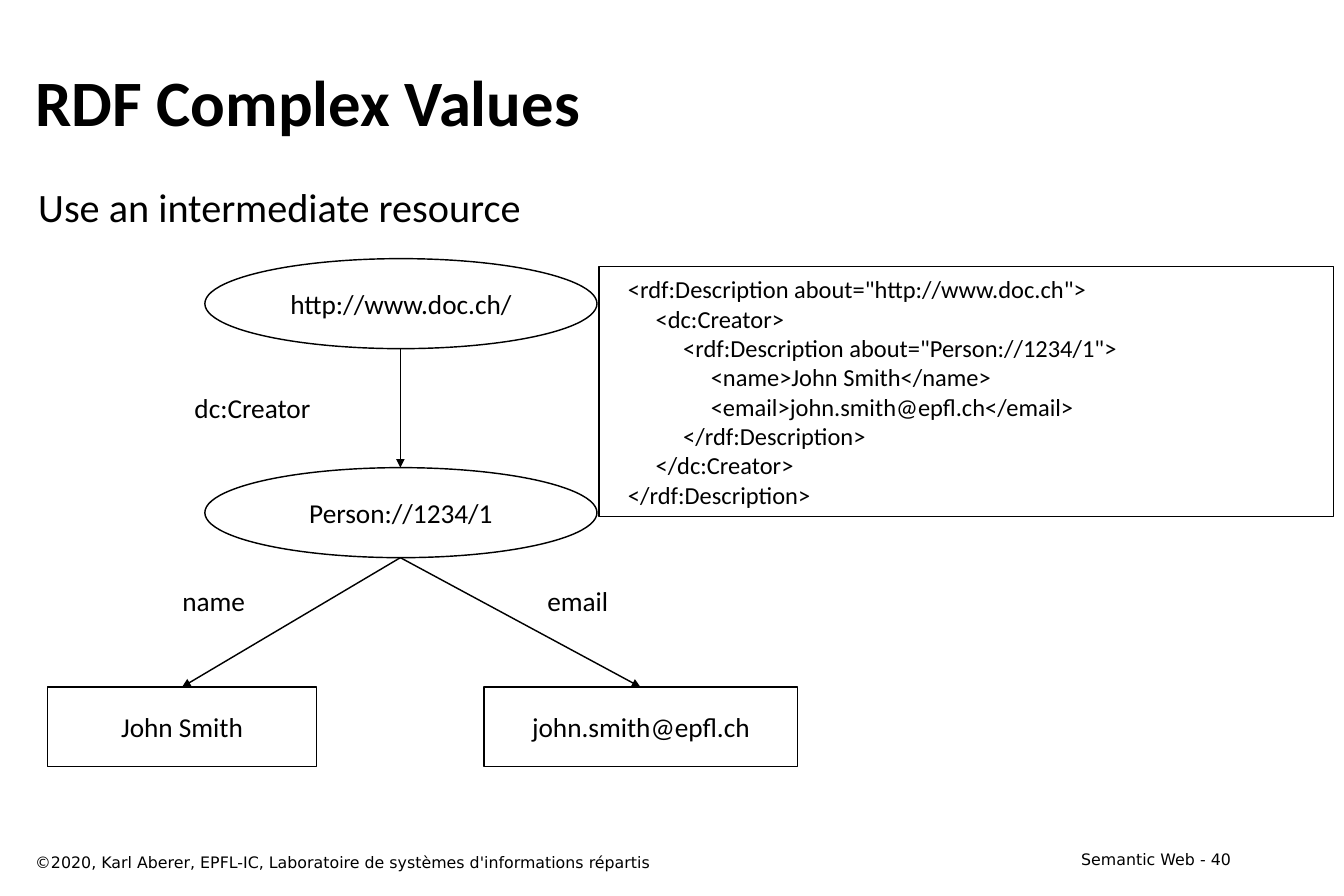
from dataclasses import dataclass

from lxml.etree import SubElement
from pptx import Presentation
from pptx.dml.color import RGBColor
from pptx.enum.shapes import MSO_CONNECTOR, MSO_SHAPE as Shape
from pptx.enum.text import MSO_ANCHOR as Anchor, PP_ALIGN as Align
from pptx.oxml.ns import qn
from pptx.util import Emu, Pt

PX = 9144  # 100 px to the inch
BLACK = RGBColor(0x00, 0x00, 0x00)
WHITE = RGBColor(0xFF, 0xFF, 0xFF)
BODY_FONT = "Calibri"
FOOTER_FONT = "DejaVu Sans"
LABEL_SIZE = 19


@dataclass(frozen=True)
class Area:
    left: int
    top: int
    width: int
    height: int

    @property
    def top_middle(self) -> tuple[int, int]:
        return self.left + self.width // 2, self.top

    @property
    def bottom_middle(self) -> tuple[int, int]:
        return self.left + self.width // 2, self.top + self.height

    def emu(self) -> list[Emu]:
        return [px(n) for n in (self.left, self.top, self.width, self.height)]


@dataclass(frozen=True)
class Node:
    text: str
    area: Area
    kind: Shape


@dataclass(frozen=True)
class Edge:
    start: Node
    end: Node
    label: str
    label_area: Area
    align: Align = Align.CENTER


DOCUMENT = Node("http://www.doc.ch/", Area(198, 250, 379, 87), Shape.OVAL)
PERSON = Node("Person://1234/1", Area(198, 452, 379, 87), Shape.OVAL)
NAME = Node("John Smith", Area(46, 664, 260, 77), Shape.FLOWCHART_PROCESS)
EMAIL = Node("john.smith@epfl.ch", Area(468, 664, 303, 77), Shape.FLOWCHART_PROCESS)
NODES = [DOCUMENT, PERSON, NAME, EMAIL]

EDGES = [
    Edge(DOCUMENT, PERSON, "dc:Creator", Area(176, 372, 136, 44), Align.LEFT),
    Edge(PERSON, NAME, "name", Area(164, 559, 85, 44)),
    Edge(PERSON, EMAIL, "email", Area(517, 559, 83, 44)),
]

RDF_CODE = """\
   <rdf:Description about="http://www.doc.ch">
        <dc:Creator>
             <rdf:Description about="Person://1234/1">
                  <name>John Smith</name>
                  <email>john.smith@epfl.ch</email>
             </rdf:Description>
        </dc:Creator>
   </rdf:Description>"""


def px(count: int) -> Emu:
    return Emu(count * PX)


def write(box, text: str, *, size: int = LABEL_SIZE, font: str = BODY_FONT,
          bold: bool = False, align: Align = Align.LEFT,
          anchor: Anchor = Anchor.TOP, wrap: bool = True) -> None:
    """Fill a box with one paragraph per line of text."""
    frame = box.text_frame
    frame.word_wrap = wrap
    frame.vertical_anchor = anchor
    frame.margin_left = frame.margin_right = px(12)
    frame.margin_top = frame.margin_bottom = px(6)
    frame.text = text
    for para in frame.paragraphs:
        para.alignment = align
        for span in para.runs:
            span.font.name = font
            span.font.size = Pt(size)
            span.font.bold = bold
            span.font.color.rgb = BLACK


def add_text(page, text: str, area: Area, **text_format) -> None:
    write(page.shapes.add_textbox(*area.emu()), text, **text_format)


def add_outlined(page, kind: Shape, area: Area, line_width: float):
    box = page.shapes.add_shape(kind, *area.emu())
    box.shadow.inherit = False
    box.line.color.rgb = BLACK
    box.line.width = Pt(line_width)
    return box


def add_node(page, node: Node) -> None:
    box = add_outlined(page, node.kind, node.area, 1)
    box.fill.solid()
    box.fill.fore_color.rgb = WHITE
    write(box, node.text, align=Align.CENTER, anchor=Anchor.MIDDLE, wrap=False)


def add_edge(page, edge: Edge) -> None:
    ends = edge.start.area.bottom_middle + edge.end.area.top_middle
    arrow = page.shapes.add_connector(MSO_CONNECTOR.STRAIGHT, *map(px, ends))
    arrow.line.color.rgb = BLACK
    arrow.line.width = Pt(1)
    SubElement(arrow.line._get_or_add_ln(), qn("a:tailEnd"), type="triangle")
    SubElement(arrow._element.spPr, qn("a:effectLst"))
    add_text(page, edge.label, edge.label_area, align=edge.align, wrap=False)


def add_code(page, code: str, area: Area) -> None:
    box = add_outlined(page, Shape.RECTANGLE, area, 0.75)
    box.fill.background()
    write(box, code, size=17, anchor=Anchor.MIDDLE)


def main() -> None:
    deck = Presentation()
    deck.slide_width, deck.slide_height = px(1299), px(866)
    page = deck.slides.add_slide(deck.slide_layouts[6])

    add_text(page, "Semantic Web - 40", Area(931, 815, 271, 29),
             size=11, font=FOOTER_FONT, align=Align.RIGHT)
    add_text(page, "RDF Complex Values", Area(22, 39, 1180, 116),
             size=45, bold=True, anchor=Anchor.MIDDLE)
    add_text(page, "Use an intermediate resource", Area(25, 170, 1180, 106), size=28)
    for node in NODES:
        add_node(page, node)
    for edge in EDGES:
        add_edge(page, edge)
    add_code(page, RDF_CODE, Area(579, 258, 710, 241))
    add_text(page, "©2020, Karl Aberer, EPFL-IC, Laboratoire de systèmes d'informations répartis",
             Area(22, 818, 834, 29), size=11, font=FOOTER_FONT)

    deck.save("out.pptx")


if __name__ == "__main__":
    main()
